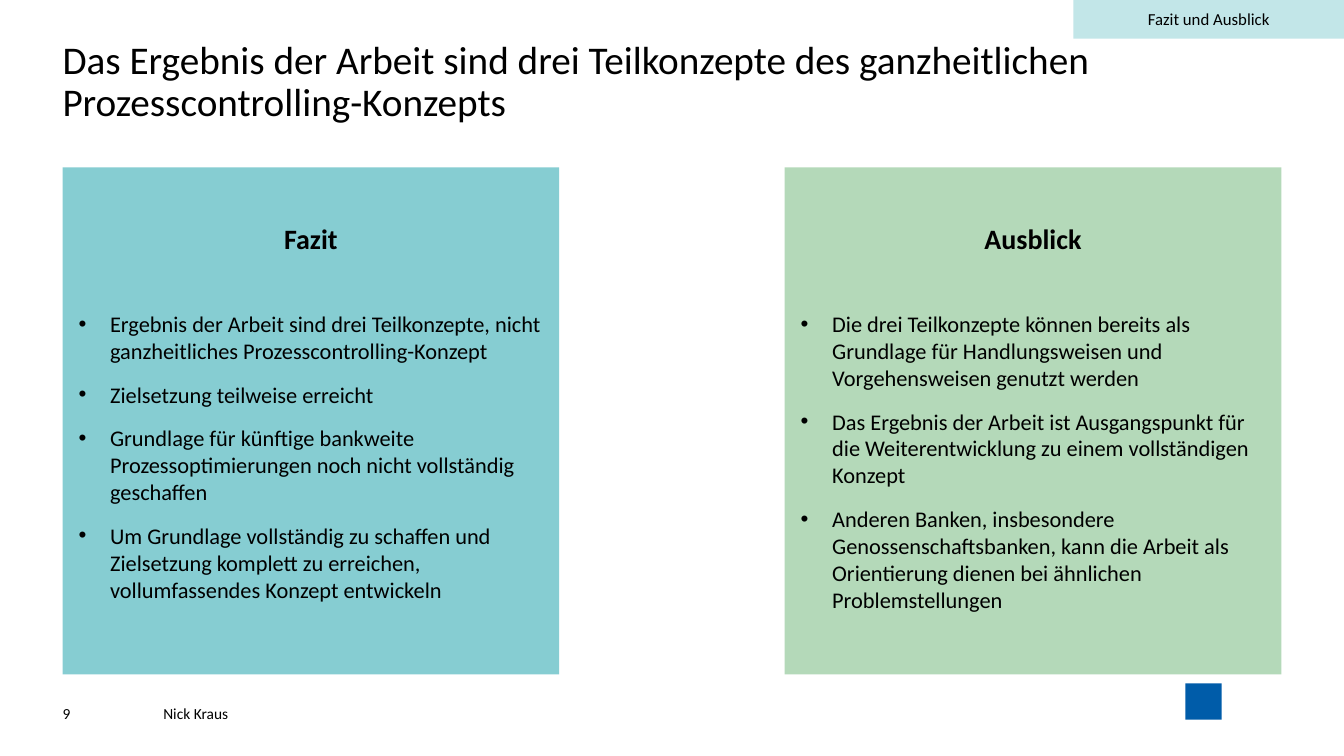
import pptx
import pptx.dml.color
import pptx.enum.shapes
import pptx.enum.text
import pptx.oxml
import pptx.oxml.ns
import pptx.util

Pt = pptx.util.Pt
ALIGN = pptx.enum.text.PP_ALIGN
ANCHOR = pptx.enum.text.MSO_ANCHOR
RECTANGLE = pptx.enum.shapes.MSO_SHAPE.RECTANGLE

COLORS = {
    "text": "000000",
    "fazit": "86CDD2",
    "ausblick": "B4D9B9",
    "section": "C2E6E8",
    "emblem": "005CA9",
}

# Layout in points
MARGIN = 44.64
PANEL_TOP, PANEL_WIDTH, PANEL_HEIGHT = 119.5, 354.8, 362.2
PANEL_STEP = 515.8
HEADING_INSET, HEADING_TOP, HEADING_HEIGHT = 23.5, 157, 24
INDENT = 22.5

PANELS = [
    ("Fazit", "fazit", [
        "Ergebnis der Arbeit sind drei Teilkonzepte, nicht ganzheitliches Prozesscontrolling-Konzept",
        "Zielsetzung teilweise erreicht",
        "Grundlage für künftige bankweite Prozessoptimierungen noch nicht vollständig geschaffen",
        "Um Grundlage vollständig zu schaffen und Zielsetzung komplett zu erreichen, "
        "vollumfassendes Konzept entwickeln",
    ]),
    ("Ausblick", "ausblick", [
        "Die drei Teilkonzepte können bereits als Grundlage für Handlungsweisen und "
        "Vorgehensweisen genutzt werden",
        "Das Ergebnis der Arbeit ist Ausgangspunkt für die Weiterentwicklung zu einem "
        "vollständigen Konzept",
        "Anderen Banken, insbesondere Genossenschaftsbanken, kann die Arbeit als "
        "Orientierung dienen bei ähnlichen Problemstellungen",
    ]),
]


def set_all(target, values):
    for name, value in values.items():
        setattr(target, name, value)


def set_frame(frame, insets=(0, 0, 0, 0), anchor=ANCHOR.TOP):
    sides = ("margin_left", "margin_top", "margin_right", "margin_bottom")
    set_all(frame, {side: Pt(inset) for side, inset in zip(sides, insets)})
    set_all(frame, {"word_wrap": True, "vertical_anchor": anchor})


def write(paragraph, text, size, bold=False, **layout):
    set_all(paragraph, {"alignment": ALIGN.LEFT, **layout})
    run = paragraph.add_run()
    run.text = text
    set_all(run.font, {"name": "Calibri", "size": Pt(size), "bold": bold})
    run.font.color.rgb = pptx.dml.color.RGBColor.from_string(COLORS["text"])


def add_block(slide, box, color):
    block = slide.shapes.add_shape(RECTANGLE, *map(Pt, box))
    block.shadow.inherit = False
    block.fill.solid()
    block.fill.fore_color.rgb = pptx.dml.color.RGBColor.from_string(COLORS[color])
    block.line.fill.background()
    return block


def add_label(slide, box, text, size, anchor=ANCHOR.TOP, **style):
    frame = slide.shapes.add_textbox(*map(Pt, box)).text_frame
    set_frame(frame, anchor=anchor)
    write(frame.paragraphs[0], text, size, **style)


def add_bullet(paragraph, text):
    properties = paragraph._p.get_or_add_pPr()
    properties.set("marL", str(Pt(INDENT)))
    properties.set("indent", str(-Pt(INDENT)))
    for tag, attribute, value in (("buFont", "typeface", "Arial"), ("buChar", "char", "•")):
        element = pptx.oxml.parse_xml(f"<a:{tag} {pptx.oxml.ns.nsdecls('a')}/>")
        element.set(attribute, value)
        properties.append(element)
    write(paragraph, text, 16, level=1, space_after=Pt(12))


def add_panel(slide, left, heading, color, points):
    panel = add_block(slide, (left, PANEL_TOP, PANEL_WIDTH, PANEL_HEIGHT), color)
    frame = panel.text_frame
    set_frame(frame, (11.5, 102.2, 11.5, 17.3))
    for index, point in enumerate(points):
        add_bullet(frame.add_paragraph() if index else frame.paragraphs[0], point)
    heading_box = (left + HEADING_INSET, HEADING_TOP,
                   PANEL_WIDTH - 2 * HEADING_INSET, HEADING_HEIGHT)
    add_label(slide, heading_box, heading, 20, bold=True,
              alignment=ALIGN.CENTER, line_spacing=Pt(25))


def set_title(slide, text):
    title = slide.shapes.title
    box = {"left": MARGIN, "top": 28.8, "width": 870.5, "height": 90.7}
    set_all(title, {side: Pt(length) for side, length in box.items()})
    set_frame(title.text_frame)
    title.text_frame.auto_size = pptx.enum.text.MSO_AUTO_SIZE.NONE
    write(title.text_frame.paragraphs[0], text, 28, line_spacing=0.9)


def main():
    deck = pptx.Presentation()
    set_all(deck, {"slide_width": Pt(960), "slide_height": Pt(540)})
    slide = deck.slides.add_slide(deck.slide_layouts.get_by_name("Title Only"))

    # Title
    set_title(slide, "Das Ergebnis der Arbeit sind drei Teilkonzepte des "
                     "ganzheitlichen Prozesscontrolling-Konzepts")

    # Conclusion and outlook panels
    for column, (heading, color, points) in enumerate(PANELS):
        add_panel(slide, MARGIN + column * PANEL_STEP, heading, color, points)

    # Section tag
    section = add_block(slide, (766.8, 0, 193.2, 27.6), "section")
    set_frame(section.text_frame, (7.2, 3.6, 7.2, 3.6), ANCHOR.MIDDLE)
    write(section.text_frame.paragraphs[0], "Fazit und Ausblick", 12, alignment=ALIGN.CENTER)

    # Footer
    add_label(slide, (MARGIN, 504, 602, 11.5), "9\t\tNick Kraus", 11, ANCHOR.MIDDLE)
    add_block(slide, (846.7, 488.2, 25.9, 25.9), "emblem")

    deck.save("out.pptx")


if __name__ == "__main__":
    main()
